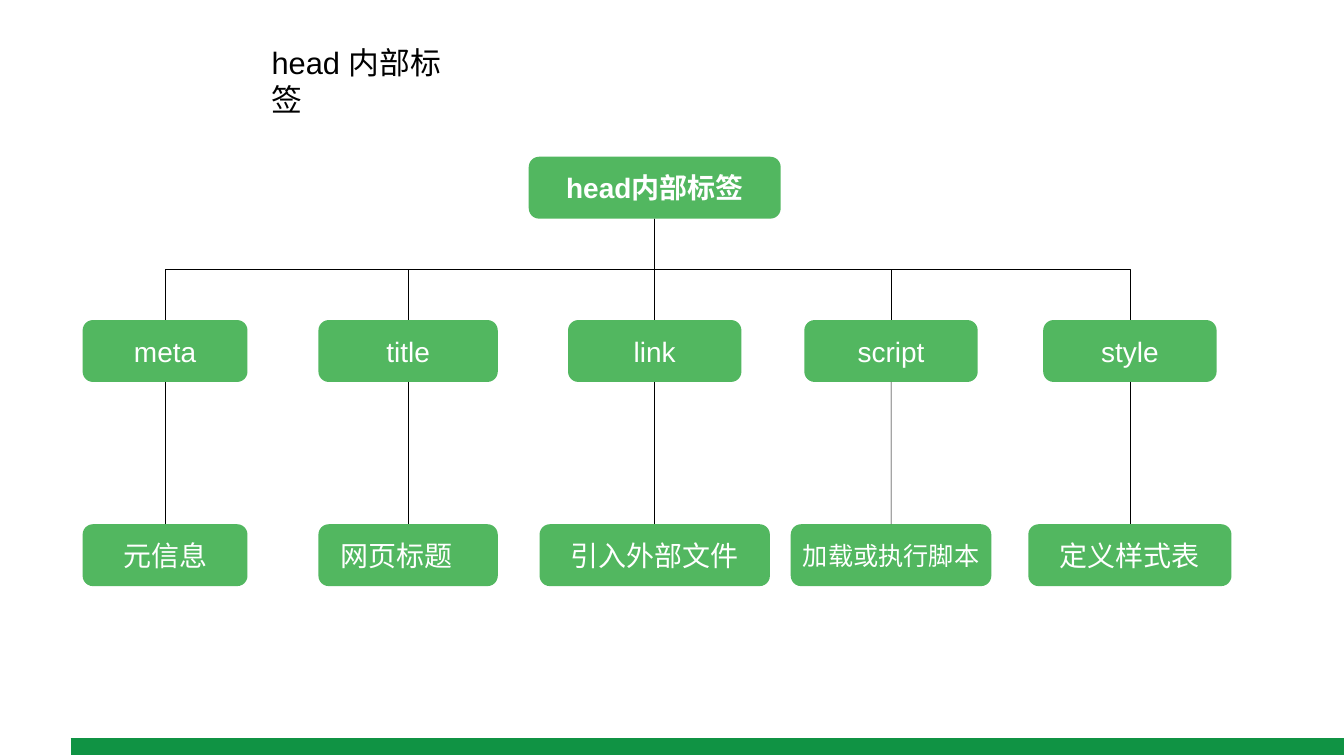
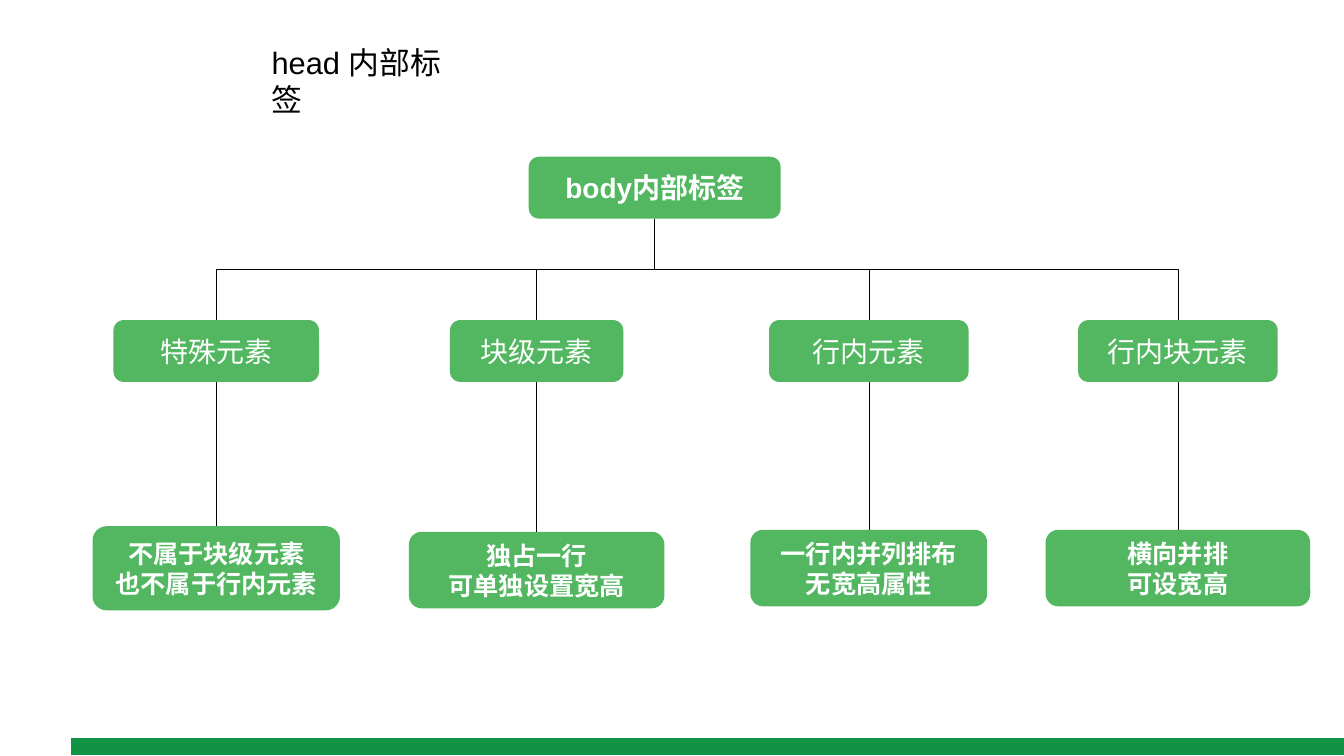
from dataclasses import dataclass

from lxml.etree import SubElement
from pptx import Presentation
from pptx.dml.color import RGBColor
from pptx.enum.shapes import MSO_CONNECTOR, MSO_SHAPE
from pptx.enum.text import MSO_AUTO_SIZE, PP_ALIGN
from pptx.oxml.ns import qn
from pptx.util import Cm, Pt

COLORS = {"node": "52B760", "band": "109344", "wire": "000000",
          "title": "000000", "label": "FFFFFF"}
FONT = "Arial"
SLIDE_WIDTH, SLIDE_HEIGHT = 67.74, 38.1
ROOT_CENTRE, ROOT_TOP, ROOT_WIDTH = 33, 7.9, 12.7
BRANCH_TOP, LEAF_TOP = 16.13, 26.42
NODE_HEIGHT = 3.12
TEXT_INSET = 0.25


@dataclass
class Node:
    """A green box with its label; lengths are centimetres."""
    text: str
    width: float
    label_width: float
    top: float = BRANCH_TOP
    height: float = NODE_HEIGHT
    size: int = 40
    bold: bool = False
    label_shift: float = 0


def leaf(text, width, label_width, **changes):
    """Describe a node of the bottom row."""
    return Node(text, width, label_width, **{"top": LEAF_TOP, **changes})


def note(text, width, label_width, top=26.7, height=3.86):
    """Describe a bold two-line node of the bottom row."""
    return leaf(text, width, label_width, top=top, height=height, size=36, bold=True)


HEAD_TREE = [
    (8.32, Node("meta", 8.31, 5.66), leaf("元信息", 8.31, 5.99)),
    (20.57, Node("title", 9.04, 7.09), leaf("网页标题", 9.04, 7.85, label_shift=-0.6)),
    (ROOT_CENTRE, Node("link", 8.74, 8.13), leaf("引入外部文件", 11.61, 10.57)),
    (44.91, Node("script", 8.74, 7.21), leaf("加载或执行脚本", 10.11, 10.11, size=36)),
    (56.95, Node("style", 8.74, 7.21), leaf("定义样式表", 10.24, 7.85)),
]
BODY_TREE = [
    (10.9, Node("特殊元素", 10.36, 7.59),
     note("不属于块级元素\n也不属于行内元素", 12.47, 12.47, top=26.52, height=4.24)),
    (27.05, Node("块级元素", 8.74, 7.72),
     note("独占一行\n可单独设置宽高", 12.88, 11.76, top=26.8)),
    (43.79, Node("行内元素", 10.06, 8.26), note("一行内并列排布\n无宽高属性", 11.94, 10.31)),
    (59.37, Node("行内块元素", 10.06, 8.26), note("横向并排\n可设宽高", 13.34, 11.84)),
]


def rgb(role):
    """Return the colour that plays a role."""
    return RGBColor.from_string(COLORS[role])


def add_text(slide, text, left, top, width, height, *, size, color,
             bold=False, align=PP_ALIGN.LEFT):
    """Add a wrapped text box with one paragraph per line of text."""
    frame = slide.shapes.add_textbox(Cm(left), Cm(top), Cm(width), Cm(height)).text_frame
    frame.word_wrap = True
    frame.auto_size = MSO_AUTO_SIZE.SHAPE_TO_FIT_TEXT
    frame.text = text
    for paragraph in frame.paragraphs:
        paragraph.alignment = align
        for run in paragraph.runs:
            run.font.name, run.font.size, run.font.bold = FONT, Pt(size), bold
            run.font.color.rgb = rgb(color)


def add_line(slide, kind, start, end, color, weight):
    """Add a plain connector without shadow."""
    line = slide.shapes.add_connector(kind, *map(Cm, (*start, *end)))
    line.line.color.rgb = rgb(color)
    line.line.width = Pt(weight)
    SubElement(line._element.spPr, qn("a:effectLst"))
    return line


def add_node(slide, centre, node):
    """Draw a rounded box and centre its label on it."""
    box = slide.shapes.add_shape(
        MSO_SHAPE.ROUNDED_RECTANGLE, Cm(centre - node.width / 2), Cm(node.top),
        Cm(node.width), Cm(node.height))
    box.shadow.inherit = False
    box.fill.solid()
    box.fill.fore_color.rgb = rgb("node")
    box.line.fill.background()
    lines = node.text.count("\n") + 1
    label_height = lines * node.size * 1.2 * 2.54 / 72 + TEXT_INSET
    add_text(slide, node.text, centre - node.label_width / 2 + node.label_shift,
             node.top + (node.height - label_height) / 2, node.label_width, label_height,
             size=node.size, color="label", bold=node.bold, align=PP_ALIGN.CENTER)
    return box


def join(slide, parent, child):
    """Link the bottom of a parent to the top of its child, bending halfway down."""
    start_x, end_x = (box.left + box.width // 2 for box in (parent, child))
    start_y, end_y = parent.top + parent.height, child.top
    run, drop = end_x - start_x, end_y - start_y
    straight = abs(run) < Cm(0.02)
    kind = MSO_CONNECTOR.STRAIGHT if straight else MSO_CONNECTOR.ELBOW
    wire = add_line(slide, kind, (0, 0), (0, 0), "wire", 0.75)
    wire.begin_connect(parent, 2)
    wire.end_connect(child, 0)
    if straight:
        return
    wire.width, wire.height = drop, abs(run)
    wire.left = (start_x + end_x - drop) // 2
    wire.top = (start_y + end_y - abs(run)) // 2
    placement = wire._element.spPr.find(qn("a:xfrm"))
    placement.set("flipH", "1" if run > 0 else "0")
    placement.set("flipV", "0")
    placement.set("rot", "16200000" if run > 0 else "5400000")


def add_tree_slide(deck, root_text, tree):
    """Build a slide with the title, the footer band and a three-level tree."""
    slide = deck.slides.add_slide(deck.slide_layouts[6])
    add_line(slide, MSO_CONNECTOR.STRAIGHT, (3.56, 37.62), (SLIDE_WIDTH, 37.62), "band", 25)
    add_text(slide, "head 内部标签", 13.44, 2.06, 10.59, 2.13, size=44, color="title")
    root = add_node(slide, ROOT_CENTRE,
                    Node(root_text, ROOT_WIDTH, 10.39, top=ROOT_TOP, bold=True))
    for centre, branch, detail in tree:
        branch_box = add_node(slide, centre, branch)
        detail_box = add_node(slide, centre, detail)
        join(slide, root, branch_box)
        join(slide, branch_box, detail_box)


def main():
    """Build and save the deck."""
    deck = Presentation()
    deck.slide_width, deck.slide_height = Cm(SLIDE_WIDTH), Cm(SLIDE_HEIGHT)
    add_tree_slide(deck, "head内部标签", HEAD_TREE)
    add_tree_slide(deck, "body内部标签", BODY_TREE)
    deck.save("out.pptx")


if __name__ == "__main__":
    main()
